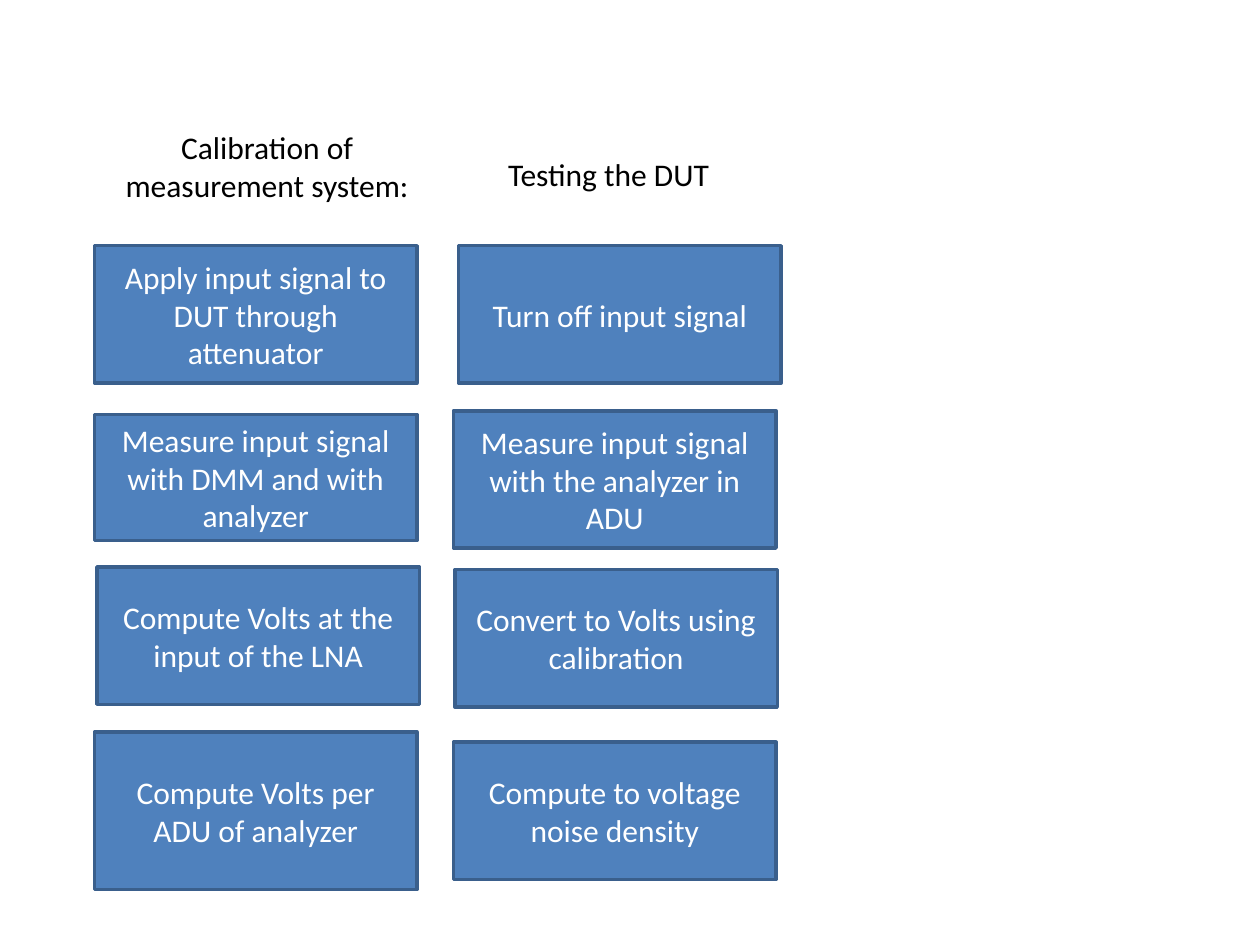
from pptx import Presentation
from pptx.dml.color import RGBColor
from pptx.enum.shapes import MSO_SHAPE
from pptx.enum.text import MSO_ANCHOR, MSO_AUTO_SIZE, PP_ALIGN
from pptx.util import Inches, Pt

RECTANGLE = MSO_SHAPE.RECTANGLE
MIDDLE = MSO_ANCHOR.MIDDLE
FIT_SHAPE = MSO_AUTO_SIZE.SHAPE_TO_FIT_TEXT
CENTER = PP_ALIGN.CENTER

STEP_WIDTH = 2.56
STEP_HEIGHT = 1.09

CALIBRATION_STEPS = [
    ("Apply input signal to DUT through attenuator", 0, 0, STEP_HEIGHT),
    ("Measure input signal with DMM and with analyzer", 0, 1.34, 1),
    ("Compute Volts at the input of the LNA", 0.02, 2.55, STEP_HEIGHT),
    ("Compute Volts per ADU of analyzer", 0, 3.86, 1.25),
]
TESTING_STEPS = [
    ("Turn off input signal", 0.04, 0, STEP_HEIGHT),
    ("Measure input signal with the analyzer in ADU", 0, 1.31, STEP_HEIGHT),
    ("Convert to Volts using calibration", 0.01, 2.57, STEP_HEIGHT),
    ("Compute to voltage noise density", 0, 3.94, STEP_HEIGHT),
]


def rgb(value):
    return RGBColor.from_string(value)


def write_text(tf, text, color):
    tf.word_wrap = True
    p = tf.paragraphs[0]
    p.alignment = CENTER
    r = p.add_run()
    r.text = text
    r.font.name = "Calibri"
    r.font.size = Pt(18)
    r.font.color.rgb = rgb(color)


def add_heading(slide, text, left, top, width, height):
    sp = slide.shapes.add_textbox(
        Inches(left), Inches(top), Inches(width), Inches(height)
    )
    write_text(sp.text_frame, text, "000000")
    sp.text_frame.auto_size = FIT_SHAPE


def add_step(slide, text, left, top, width, height):
    sp = slide.shapes.add_shape(
        RECTANGLE, Inches(left), Inches(top), Inches(width), Inches(height)
    )
    sp.shadow.inherit = False
    sp.fill.solid()
    sp.fill.fore_color.rgb = rgb("4F81BD")
    sp.line.color.rgb = rgb("3A5F8C")
    sp.line.width = Pt(2)
    sp.text_frame.vertical_anchor = MIDDLE
    write_text(sp.text_frame, text, "FFFFFF")


def add_steps(slide, steps, left, top, width):
    for text, dx, dy, height in steps:
        add_step(slide, text, left + dx, top + dy, width, height)


def main():
    prs = Presentation()
    prs.slide_width = Inches(10)
    prs.slide_height = Inches(7.5)
    slide = prs.slides.add_slide(prs.slide_layouts[6])
    add_heading(slide, "Calibration of measurement system:", 0.75, 0.97, 2.74, 0.71)
    add_steps(slide, CALIBRATION_STEPS, 0.75, 1.95, STEP_WIDTH)
    add_heading(slide, "Testing the DUT", 3.58, 1.18, 2.5, 0.4)
    add_steps(slide, TESTING_STEPS, 3.6, 1.95, STEP_WIDTH)
    prs.save("out.pptx")


if __name__ == "__main__":
    main()
